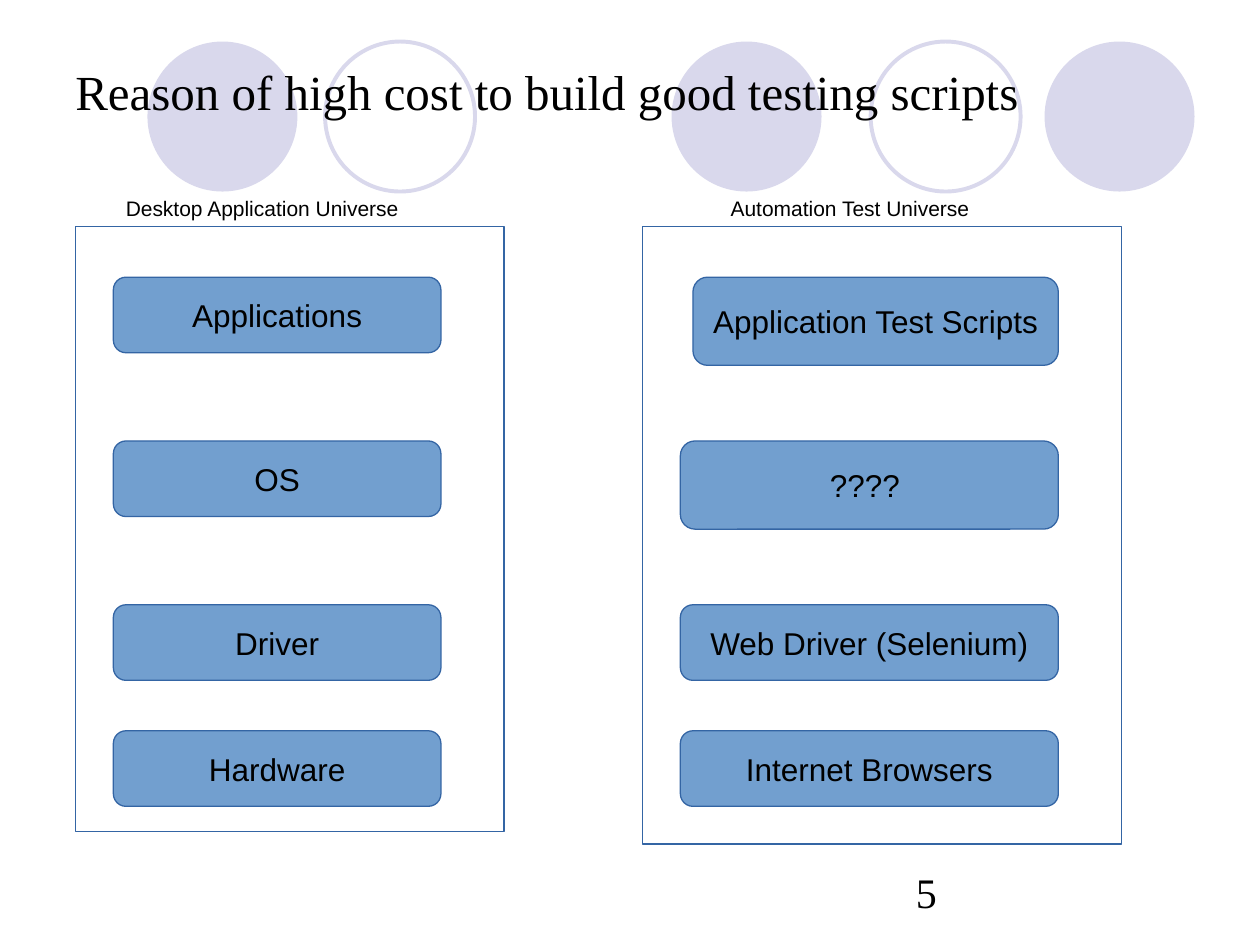
from dataclasses import dataclass

from pptx import Presentation
from pptx.dml.color import RGBColor
from pptx.enum.shapes import MSO_SHAPE as Preset
from pptx.enum.text import MSO_ANCHOR as Anchor, PP_ALIGN as Align
from pptx.util import Inches, Pt


@dataclass(frozen=True)
class Theme:
    """Colours, fonts and sizes of the slide."""
    ink: RGBColor = RGBColor.from_string("000000")
    circle: RGBColor = RGBColor.from_string("D9D8EC")
    layer: RGBColor = RGBColor.from_string("729FCF")
    outline: RGBColor = RGBColor.from_string("3465A4")
    serif: str = "Times New Roman"
    sans: str = "Arial"
    title_size: float = 28
    number_size: float = 24
    layer_size: float = 18
    caption_size: float = 12
    thin: float = 0.75
    thick: float = 2.25


@dataclass(frozen=True)
class Box:
    """A rectangle in columns and rows of the slide grid."""
    left: float
    top: float
    width: float
    height: float

    def inner(self, left, top, width, height):
        """Return a box placed relative to this one."""
        return Box(self.left + left, self.top + top, width, height)

    def lengths(self):
        """Return the four lengths used to place a shape."""
        return [Inches(value * CELL) for value in
                (self.left, self.top, self.width, self.height)]


THEME = Theme()
COLUMNS, ROWS, CELL = 100, 75, 0.1
LAYER_TOPS = (4, 17, 30, 40)
LAYER_INSET, LAYER_MARGIN = 3, 5
CAPTION_WIDTH, CAPTION_HEIGHT = 26, 3


def add_shape(slide, preset, box, fill=None, line=None, weight=THEME.thin):
    """Add a flat preset shape."""
    shape = slide.shapes.add_shape(preset, *box.lengths())
    shape.shadow.inherit = False
    if fill is None:
        shape.fill.background()
    else:
        shape.fill.solid()
        shape.fill.fore_color.rgb = fill
    if line is None:
        shape.line.fill.background()
    else:
        shape.line.color.rgb = line
        shape.line.width = Pt(weight)
    return shape


def write(shape, text, font, size, align=Align.LEFT, anchor=Anchor.TOP, wrap=True):
    """Write one run of text into a shape."""
    frame = shape.text_frame
    frame.word_wrap = wrap
    frame.vertical_anchor = anchor
    paragraph = frame.paragraphs[0]
    paragraph.alignment = align
    run = paragraph.add_run()
    run.text = text
    run.font.name = font
    run.font.size = Pt(size)
    run.font.color.rgb = THEME.ink


def add_text(slide, box, text, font, size, anchor=Anchor.TOP):
    """Add a text box."""
    write(slide.shapes.add_textbox(*box.lengths()), text, font, size, anchor=anchor)


def add_circles(slide, box):
    """Add the row of filled and open circles behind the title."""
    size = box.height
    for left in (0, 41.6, 71.2):
        add_shape(slide, Preset.OVAL, box.inner(left, 0, size, size), fill=THEME.circle)
    for left in (14.1, 57.4):
        add_shape(slide, Preset.OVAL, box.inner(left, 0, size, size),
                  line=THEME.circle, weight=THEME.thick)


def add_universe(slide, box, caption, caption_inset, layers):
    """Add a captioned frame with its stack of layers."""
    for top, (text, height, indent) in zip(LAYER_TOPS, layers):
        left = LAYER_INSET + indent
        place = box.inner(left, top, box.width - left - LAYER_MARGIN, height)
        layer = add_shape(slide, Preset.ROUNDED_RECTANGLE, place,
                          THEME.layer, THEME.outline)
        write(layer, text, THEME.sans, THEME.layer_size,
              Align.CENTER, Anchor.MIDDLE, wrap=False)
    add_shape(slide, Preset.RECTANGLE, box, line=THEME.outline)
    add_text(slide, box.inner(caption_inset, -CAPTION_HEIGHT, CAPTION_WIDTH, CAPTION_HEIGHT),
             caption, THEME.sans, THEME.caption_size)


def main():
    """Build and save the slide."""
    presentation = Presentation()
    presentation.slide_width = Inches(COLUMNS * CELL)
    presentation.slide_height = Inches(ROWS * CELL)
    slide = presentation.slides.add_slide(presentation.slide_layouts[6])
    add_circles(slide, Box(11.7, 3.3, 83.1, 11.9))
    add_text(slide, Box(5, 1, 90, 12.5),
             "Reason of high cost to build good testing scripts",
             THEME.serif, THEME.title_size, Anchor.MIDDLE)
    add_universe(slide, Box(6, 18, 34, 48), "Desktop Application Universe", 3,
                 [("Applications", 6, 0), ("OS", 6, 0),
                  ("Driver", 6, 0), ("Hardware", 6, 0)])
    add_universe(slide, Box(51, 18, 38, 49), "Automation Test Universe", 6,
                 [("Application Test Scripts", 7, 1), ("???? ", 7, 0),
                  ("Web Driver (Selenium)", 6, 0), ("Internet Browsers", 6, 0)])
    add_text(slide, Box(71.7, 68.3, 23.1, 4.8), "5", THEME.serif, THEME.number_size)
    presentation.save("out.pptx")


if __name__ == "__main__":
    main()
